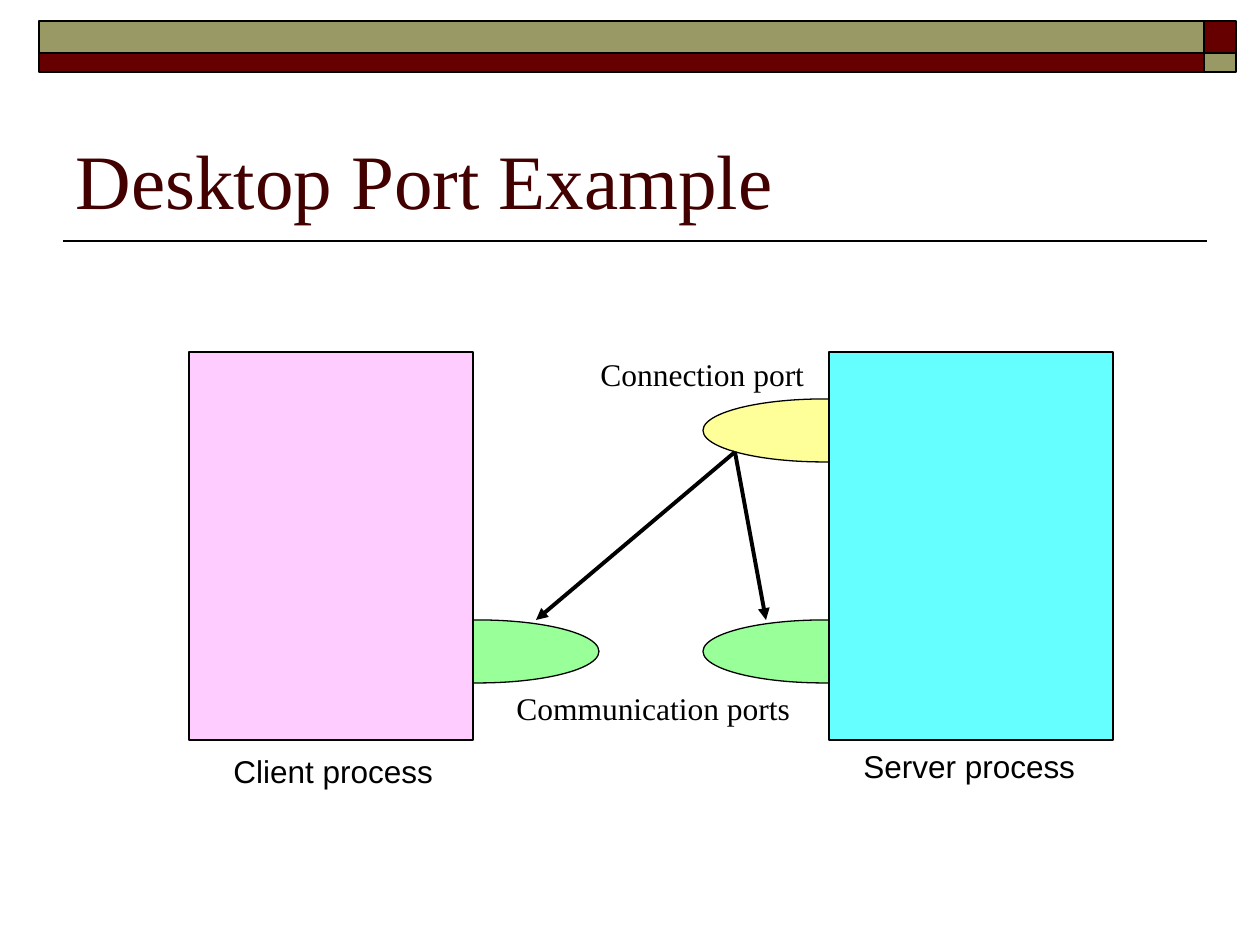
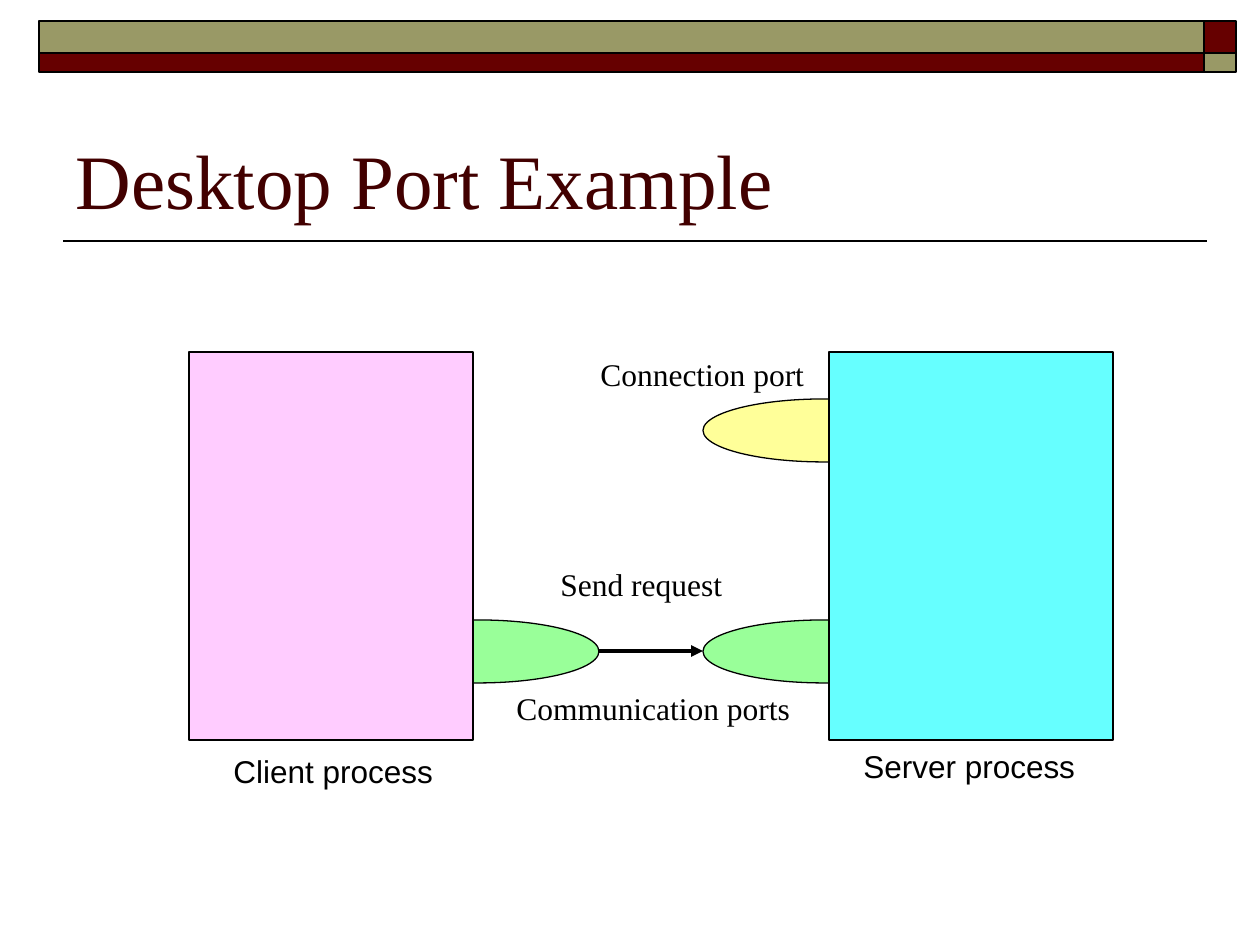
import pptx
import pptx.dml.color
import pptx.enum.shapes
import pptx.enum.text
import pptx.oxml.ns
import pptx.util
from lxml import etree

EMU_PER_PX = 914400 / 126
SLIDE_SIZE = (1260, 945)

BLACK, MAROON, OLIVE = "000000", "660000", "999966"
PINK, CYAN, GREEN, YELLOW = "FFCCFF", "66FFFF", "99FF99", "FFFF99"
SERIF, SANS = "Times New Roman", "Arial"

TITLE_BOX = (63, 73, 1134, 158)
TITLE_FORMAT = {"name": SERIF, "size": pptx.util.Pt(44), "bold": False}
TITLE_COLOR = "420000"
TITLE_RULE = ((1207, 241), (63, 241))

BAND_COLUMNS = [(39, 1165), (1204, 32)]
BAND_ROWS = [(21, 32), (53, 19)]
BAND_COLORS = [(OLIVE, MAROON), (MAROON, OLIVE)]

PORT_SIZE = (242, 63)
PORTS = [(703, 620, GREEN), (357, 620, GREEN), (703, 399, YELLOW)]
PROCESS_SIZE = (284, 388)
PROCESSES = [(189, 352, PINK), (829, 352, CYAN)]

LABEL_HEIGHT = 50
LABELS = [
    ("Communication ports", 504, 683, 304, SERIF),
    ("Client process", 221, 746, 230, SANS),
    ("Server process", 851, 741, 242, SANS),
    ("Connection port", 588, 349, 234, SERIF),
]

SLIDES = [
    {
        "title": "Desktop Port Example",
        "arrows": [((735, 452), (536, 620)), ((735, 452), (766, 620))],
        "labels": [],
    },
    {
        "title": "Desktop Port Example",
        "arrows": [((599, 651), (703, 651))],
        "labels": [("Send request", 548, 559, 192, SERIF)],
    },
]


def px(*lengths):
    return [pptx.util.Emu(round(length * EMU_PER_PX)) for length in lengths]


def color(hex_string):
    return pptx.dml.color.RGBColor.from_string(hex_string)


def apply_format(target, values):
    for name, value in values.items():
        setattr(target, name, value)


def add_block(slide, kind, box, fill, line_width=0.75):
    shape = slide.shapes.add_shape(kind, *px(*box))
    shape.shadow.inherit = False
    shape.fill.solid()
    shape.fill.fore_color.rgb = color(fill)
    shape.line.color.rgb = color(BLACK)
    shape.line.width = pptx.util.Pt(line_width)


def add_line(slide, start, end, width, arrow=False):
    connector = slide.shapes.add_connector(
        pptx.enum.shapes.MSO_CONNECTOR.STRAIGHT, *px(*start, *end))
    connector.line.color.rgb = color(BLACK)
    connector.line.width = pptx.util.Pt(width)
    properties = connector.element.spPr
    qn = pptx.oxml.ns.qn
    if arrow:
        etree.SubElement(properties.find(qn("a:ln")), qn("a:tailEnd"), type="triangle")
    etree.SubElement(properties, qn("a:effectLst"))


def add_label(slide, text, left, top, width, font_name):
    text_frame = slide.shapes.add_textbox(*px(left, top, width, LABEL_HEIGHT)).text_frame
    apply_format(text_frame, {
        "text": text,
        "word_wrap": False,
        "auto_size": pptx.enum.text.MSO_AUTO_SIZE.NONE,
    })
    font = text_frame.paragraphs[0].font
    apply_format(font, {"name": font_name, "size": pptx.util.Pt(18)})
    font.color.rgb = color(BLACK)


def add_frame(slide, title_text):
    """Draw the header bands, the title and the rule below it."""
    rectangle = pptx.enum.shapes.MSO_SHAPE.RECTANGLE
    add_line(slide, *TITLE_RULE, width=1)
    for (top, height), fills in zip(BAND_ROWS, BAND_COLORS):
        for (left, width), fill in zip(BAND_COLUMNS, fills):
            add_block(slide, rectangle, (left, top, width, height), fill, line_width=1)

    title = slide.shapes.title
    apply_format(title, dict(zip(("left", "top", "width", "height"), px(*TITLE_BOX))))
    apply_format(title.text_frame, {
        "text": title_text,
        "word_wrap": True,
        "auto_size": pptx.enum.text.MSO_AUTO_SIZE.NONE,
        "vertical_anchor": pptx.enum.text.MSO_ANCHOR.BOTTOM,
    })
    paragraph = title.text_frame.paragraphs[0]
    paragraph.alignment = pptx.enum.text.PP_ALIGN.LEFT
    apply_format(paragraph.font, TITLE_FORMAT)
    paragraph.font.color.rgb = color(TITLE_COLOR)


def add_diagram(slide, arrows, extra_labels):
    """Draw the ports first, so that the processes cover their inner halves."""
    shapes = pptx.enum.shapes.MSO_SHAPE
    for left, top, fill in PORTS:
        add_block(slide, shapes.OVAL, (left, top, *PORT_SIZE), fill)
    for start, end in arrows:
        add_line(slide, start, end, width=2.25, arrow=True)
    for left, top, fill in PROCESSES:
        add_block(slide, shapes.RECTANGLE, (left, top, *PROCESS_SIZE), fill)
    for label in LABELS + extra_labels:
        add_label(slide, *label)


def main():
    presentation = pptx.Presentation()
    presentation.slide_width, presentation.slide_height = px(*SLIDE_SIZE)
    title_only = presentation.slide_layouts.get_by_name("Title Only")
    for content in SLIDES:
        slide = presentation.slides.add_slide(title_only)
        add_frame(slide, content["title"])
        add_diagram(slide, content["arrows"], content["labels"])
    presentation.save("out.pptx")


if __name__ == "__main__":
    main()
